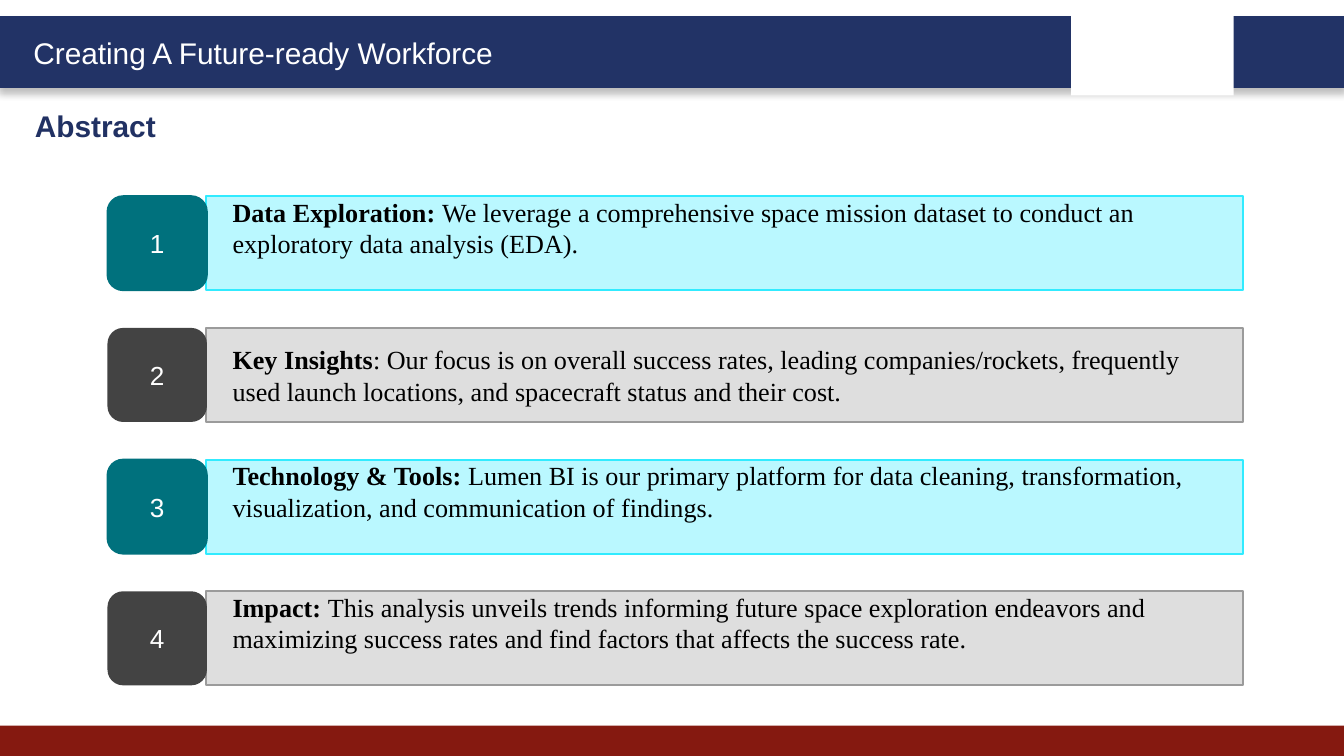
from lxml import etree
from pptx import Presentation
from pptx import util as u
from pptx.dml.color import RGBColor
from pptx.enum import shapes, text
from pptx.oxml.ns import qn

COLORS = {
    "navy": "223366", "title": "213163", "red": "851910", "white": "FFFFFF",
    "black": "000000", "teal": "00717D", "cyan": "BAF8FF", "cyan_line": "31EBFF",
    "charcoal": "434343", "grey": "DEDEDE", "grey_line": "9B9B9B",
}
ROW_STYLES = [
    {"badge": "teal", "badge_line": "teal", "fill": "cyan", "line": "cyan_line"},
    {"badge": "charcoal", "badge_line": None, "fill": "grey", "line": "grey_line"},
]
# Heading, description, space below the text
ROWS = [
    ("Data Exploration:", "\u00a0We leverage a comprehensive space mission dataset to conduct an "
     "exploratory data analysis (EDA).", 0.28),
    ("Key Insights", ":\u00a0Our focus is on overall success rates, leading companies/rockets, "
     "frequently used launch locations, and spacecraft status and their cost.", 0.05),
    ("Technology & Tools:", "\u00a0Lumen BI is our primary platform for data cleaning, "
     "transformation, visualization, and communication of findings.", 0.28),
    ("Impact:", "\u00a0This analysis unveils trends informing future space exploration endeavors "
     "and maximizing success rates and find factors that affects the success rate.", 0.28),
]
ROW_TOP, ROW_PITCH, ROW_HEIGHT = 1.46, 0.98, 0.7


def add_box(kind, left, top, width, height, fill, line=None, line_width=1):
    shape = slide.shapes.add_shape(kind, *map(u.Inches, (left, top, width, height)))
    shape.shadow.inherit = False
    shape.fill.solid()
    shape.fill.fore_color.rgb = RGBColor.from_string(COLORS[fill])
    if line:
        shape.line.color.rgb = RGBColor.from_string(COLORS[line])
        shape.line.width = u.Pt(line_width)
    else:
        shape.line.fill.background()
    return shape


def add_run(paragraph, words, color, **formats):
    run = paragraph.add_run()
    run.text = words
    run.font.color.rgb = RGBColor.from_string(COLORS[color])
    for name, value in formats.items():
        setattr(run.font, name, value)


# Widescreen slide, 16 to 9
presentation = Presentation()
presentation.slide_width = u.Inches(10)
presentation.slide_height = u.Inches(10 * 9 / 16)
slide = presentation.slides.add_slide(presentation.slide_layouts[5])
RECTANGLE = shapes.MSO_SHAPE.RECTANGLE

# Header bar with a soft shadow, footer bar and blank logo panel
header = add_box(RECTANGLE, 0, 0.13, 10, 0.51, "navy", "navy", 2)
effects = header._element.spPr.find(qn("a:effectLst"))
shadow = etree.SubElement(effects, qn("a:outerShdw"), blurRad=str(u.Pt(4)),
                          dist=str(u.Pt(3)), dir="5400000", rotWithShape="0")
shadow_color = etree.SubElement(shadow, qn("a:srgbClr"), val=COLORS["black"])
etree.SubElement(shadow_color, qn("a:alpha"), val="25000")
add_box(RECTANGLE, 0, 5.4, 10, 0.23, "red")
add_box(RECTANGLE, 7.97, 0.07, 1.21, 0.64, "white")

# Header text and slide title
header_text = slide.shapes.add_textbox(0, 0, 0, 0)
for shape, words, color, bold, place in [
    (header_text, "Creating A Future-ready Workforce", "white", False, (0.15, 0.21, 3.78, 0.37)),
    (slide.shapes.title, "Abstract", "title", True, (0.16, 0.75, 4.84, 0.37)),
]:
    for name, value in zip(("left", "top", "width", "height"), place):
        setattr(shape, name, u.Inches(value))
    frame_format = {"word_wrap": True, "auto_size": text.MSO_AUTO_SIZE.NONE,
                    "vertical_anchor": text.MSO_ANCHOR.TOP}
    for name, value in frame_format.items():
        setattr(shape.text_frame, name, value)
    paragraph = shape.text_frame.paragraphs[0]
    paragraph.alignment = text.PP_ALIGN.LEFT
    add_run(paragraph, words, color, name="Arial", size=u.Pt(16), bold=bold)

# Numbered rows in alternating colours
for index, (heading, description, space_below) in enumerate(ROWS):
    style = ROW_STYLES[index % 2]
    top = ROW_TOP + index * ROW_PITCH

    panel = add_box(RECTANGLE, 1.53, top, 7.72, ROW_HEIGHT, style["fill"], style["line"])
    panel.text_frame.margin_left = u.Inches(0.2)
    panel.text_frame.margin_bottom = u.Inches(space_below)
    paragraph = panel.text_frame.paragraphs[0]
    paragraph.alignment = text.PP_ALIGN.LEFT
    for words, bold in ((heading, True), (description, False)):
        add_run(paragraph, words, "black", name="Times New Roman", size=u.Pt(14), bold=bold)

    badge = add_box(shapes.MSO_SHAPE.ROUNDED_RECTANGLE, 0.8, top, 0.74, ROW_HEIGHT,
                    style["badge"], style["badge_line"])
    add_run(badge.text_frame.paragraphs[0], str(index + 1), "white", name="Arial", size=u.Pt(14))

presentation.save("out.pptx")
